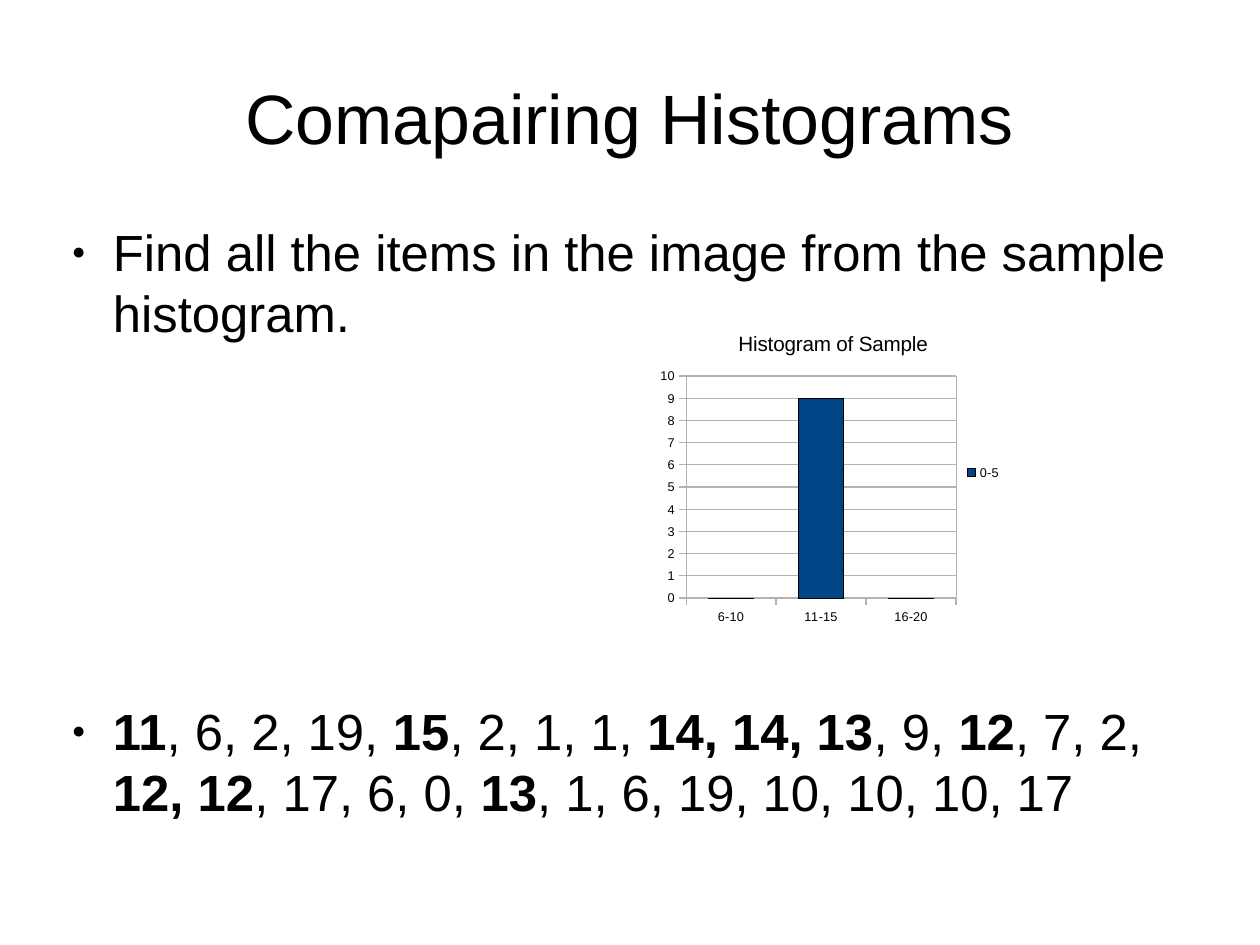
import pptx
import pptx.chart.data
import pptx.dml.color
import pptx.enum.chart
import pptx.enum.text
import pptx.oxml
import pptx.oxml.ns
import pptx.util

# Content
TITLE = "Comapairing Histograms"
# Each bullet is a list of (text, bold) spans
BULLETS = [
    [("Find all the items in the image from the sample histogram.", False)],
    [("11", True), (", 6, 2, 19, ", False), ("15", True), (", 2, 1, 1, ", False),
     ("14, 14, 13", True), (", 9, ", False), ("12", True), (", 7, 2, ", False),
     ("12, 12", True), (", 17, 6, 0, ", False), ("13", True),
     (", 1, 6, 19, 10, 10, 10, 17", False)],
]
CHART_TITLE = "Histogram of Sample"
CATEGORIES = ["6-10", "11-15", "16-20"]
SERIES_NAME, COUNTS = "0-5", [0, 9, 0]

# Geometry in px: left, top, width, height
PAGE = (1260, 945)
TITLE_BOX = (63, 44, 1134, 146)
BODY_BOX = (58, 221, 1134, 613)
CHART_BOX = (653, 315, 360, 315)
PLOT_BOX = (686, 376, 270, 222)
TEXT_INDENT, BULLET_HANG = 55, 41
BULLET_GAP = 225  # points; leaves room for the chart

FONT, BLACK, WHITE, GREY, BLUE = "Arial", "000000", "FFFFFF", "B3B3B3", "004586"


def px(length):
    return round(length * 914400 / 114.3)


def color(value):
    return pptx.dml.color.RGBColor.from_string(value)


def set_font(font, size, bold=False):
    font.name, font.size, font.bold = FONT, pptx.util.Pt(size), bold
    font.color.rgb = color(BLACK)


def set_line(line, value):
    line.color.rgb = color(value)
    line.width = pptx.util.Pt(0)


def xml(markup):
    spaces = pptx.oxml.ns.nsdecls("a", "c")
    return pptx.oxml.parse_xml(markup.replace(">", f" {spaces}>", 1))


def add_text(page, place, anchor):
    frame = page.shapes.add_textbox(*map(px, place)).text_frame
    frame.word_wrap = True
    frame.vertical_anchor = anchor
    frame.margin_left = frame.margin_top = frame.margin_right = frame.margin_bottom = 0
    return frame


def add_span(para, text, size, bold=False):
    span = para.add_run()
    span.text = text
    set_font(span.font, size, bold)


def add_bullet(para):
    props = para._p.get_or_add_pPr()
    props.set("marL", str(px(TEXT_INDENT)))
    props.set("indent", str(-px(BULLET_HANG)))
    for markup in (f'<a:buClr><a:srgbClr val="{BLACK}"/></a:buClr>',
                   '<a:buSzPct val="45000"></a:buSzPct>',
                   f'<a:buFont typeface="{FONT}"></a:buFont>',
                   '<a:buChar char="●"></a:buChar>'):
        props.append(xml(markup))


def add_histogram(page):
    data = pptx.chart.data.CategoryChartData()
    data.categories = CATEGORIES
    data.add_series(SERIES_NAME, COUNTS)
    kind = pptx.enum.chart.XL_CHART_TYPE.COLUMN_CLUSTERED
    chart = page.shapes.add_chart(kind, *map(px, CHART_BOX), data).chart
    set_font(chart.font, 10)

    # Title and legend
    chart.has_title = True
    add_span(chart.chart_title.text_frame.paragraphs[0], CHART_TITLE, 13)
    chart.chart_title.include_in_layout = False
    chart.has_legend = True
    chart.legend.position = pptx.enum.chart.XL_LEGEND_POSITION.RIGHT
    chart.legend.include_in_layout = False
    set_font(chart.legend.font, 8)

    # Axes
    for axis in (chart.category_axis, chart.value_axis):
        axis.major_tick_mark = pptx.enum.chart.XL_TICK_MARK.OUTSIDE
        axis.minor_tick_mark = pptx.enum.chart.XL_TICK_MARK.NONE
        set_font(axis.tick_labels.font, 8)
        set_line(axis.format.line, GREY)
    scale = chart.value_axis
    scale.minimum_scale, scale.maximum_scale, scale.major_unit = 0, 10, 1
    scale.has_major_gridlines = True
    set_line(scale.major_gridlines.format.line, GREY)

    # Columns
    plot = chart.plots[0]
    plot.gap_width = 100
    plot.vary_by_categories = False
    columns = plot.series[0]
    columns.format.fill.solid()
    columns.format.fill.fore_color.rgb = color(BLUE)
    set_line(columns.format.line, BLACK)

    # Plot area place and frame, white chart background
    left, top, width, height = CHART_BOX
    parts = {"x": (PLOT_BOX[0] - left) / width, "y": (PLOT_BOX[1] - top) / height,
             "w": PLOT_BOX[2] / width, "h": PLOT_BOX[3] / height}
    places = "".join(f'<c:{key}Mode val="edge"/>' for key in "xy")
    places += "".join(f'<c:{key} val="{part:.3f}"/>' for key, part in parts.items())
    area = chart._chartSpace.chart.plotArea
    for layout in area.findall(pptx.oxml.ns.qn("c:layout")):
        area.remove(layout)
    area.insert(0, xml('<c:layout><c:manualLayout><c:layoutTarget val="inner"/>'
                       f'{places}</c:manualLayout></c:layout>'))
    area.append(xml('<c:spPr><a:noFill/><a:ln w="0"><a:solidFill>'
                    f'<a:srgbClr val="{GREY}"/></a:solidFill></a:ln></c:spPr>'))
    chart._chartSpace.chart.addnext(
        xml(f'<c:spPr><a:solidFill><a:srgbClr val="{WHITE}"/></a:solidFill>'
            '<a:ln><a:noFill/></a:ln></c:spPr>'))


def main():
    deck = pptx.Presentation()
    deck.slide_width, deck.slide_height = map(px, PAGE)
    page = deck.slides.add_slide(deck.slide_layouts[6])

    # Heading
    heading = add_text(page, TITLE_BOX, pptx.enum.text.MSO_ANCHOR.MIDDLE).paragraphs[0]
    heading.alignment = pptx.enum.text.PP_ALIGN.CENTER
    add_span(heading, TITLE, 44)

    # Bullets
    body = add_text(page, BODY_BOX, pptx.enum.text.MSO_ANCHOR.TOP)
    for index, spans in enumerate(BULLETS):
        para = body.add_paragraph() if index else body.paragraphs[0]
        para.space_before = pptx.util.Pt(BULLET_GAP if index else 0)
        add_bullet(para)
        for text, bold in spans:
            add_span(para, text, 32, bold)

    add_histogram(page)
    deck.save("out.pptx")


if __name__ == "__main__":
    main()
